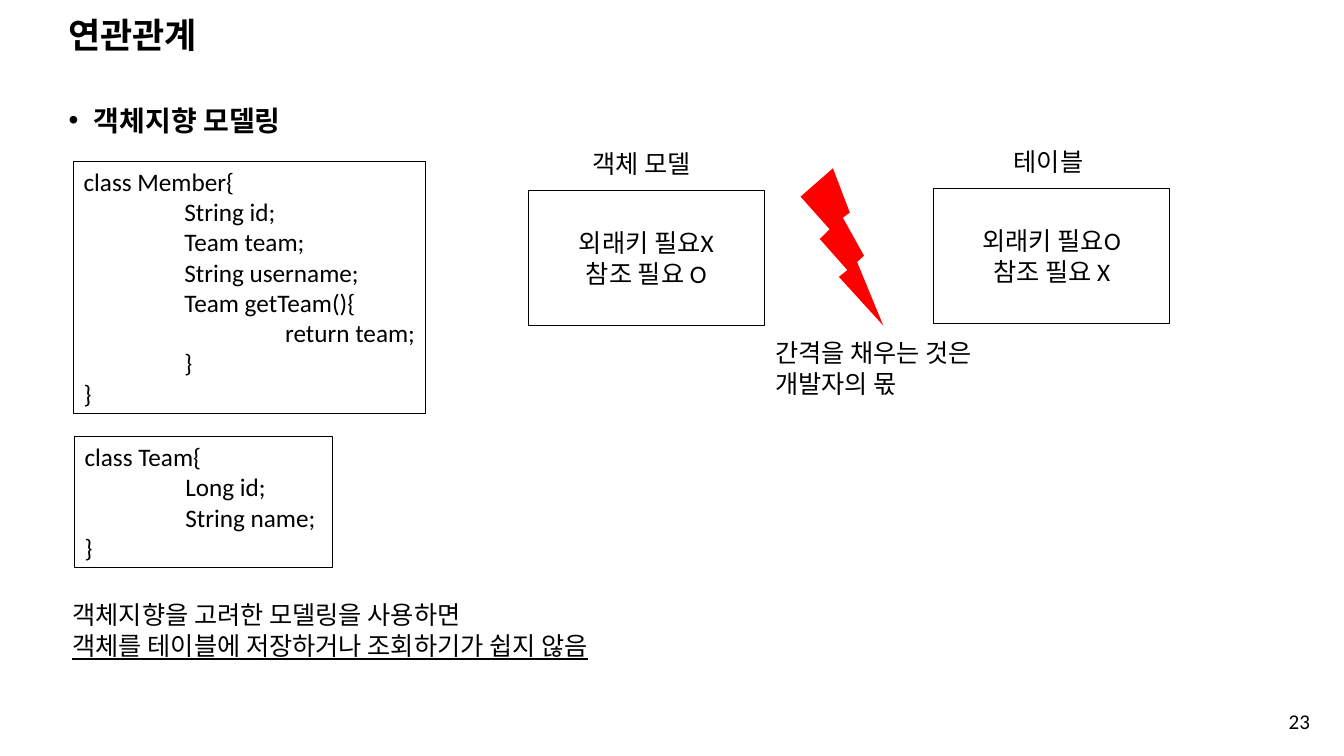
from lxml.etree import SubElement as Sub
from pptx import Presentation
from pptx.dml.color import RGBColor
from pptx.enum.shapes import MSO_SHAPE as Kind
from pptx.enum.text import MSO_ANCHOR as Anchor, MSO_AUTO_SIZE as Auto, PP_ALIGN as Align
from pptx.oxml.ns import qn
from pptx.util import Inches, Pt

BLACK = RGBColor(0, 0, 0)
WHITE = RGBColor(255, 255, 255)
RED = RGBColor(255, 0, 0)


def place(item, box):
    item.left, item.top, item.width, item.height = map(Inches, box)


def write(para, text, size=18, font="Calibri", bold=False, under=False):
    run = para.add_run()
    run.text = text
    run.font.size = Pt(size)
    run.font.name = font
    run.font.bold = bold
    run.font.underline = under
    run.font.color.rgb = BLACK


def fill_in(frame, lines, align=Align.LEFT, under=()):
    for num, text in enumerate(lines):
        para = frame.paragraphs[0] if num == 0 else frame.add_paragraph()
        para.alignment = align
        write(para, text, under=num in under)


def frame_shape(slide, box, width):
    shape = slide.shapes.add_shape(Kind.RECTANGLE, *map(Inches, box))
    shape.shadow.inherit = False
    shape.line.color.rgb = BLACK
    shape.line.width = Pt(width)
    return shape


def add_head(item, box, text, size):
    place(item, box)
    frame = item.text_frame
    frame.auto_size = Auto.NONE
    para = frame.paragraphs[0]
    para.alignment = Align.LEFT
    write(para, text, size, "Arial", True)
    return frame, para


def add_title(slide, box, text):
    frame, para = add_head(slide.shapes.title, box, text, 25)
    frame.vertical_anchor = Anchor.MIDDLE
    para.line_spacing = 0.9


def add_body(slide, box, text):
    frame, para = add_head(slide.placeholders[1], box, text, 20)
    frame.vertical_anchor = Anchor.TOP
    para.line_spacing = 1.4
    para.space_before = Pt(10)
    props = para._p.get_or_add_pPr()
    props.set("marL", str(Inches(0.25)))
    props.set("indent", str(-Inches(0.25)))
    Sub(props, qn("a:buFont")).set("typeface", "Arial")
    Sub(props, qn("a:buChar")).set("char", "•")


def add_code(slide, box, lines):
    shape = frame_shape(slide, box, 0.75)
    shape.fill.background()
    frame = shape.text_frame
    frame.word_wrap = False
    frame.auto_size = Auto.SHAPE_TO_FIT_TEXT
    frame.vertical_anchor = Anchor.TOP
    fill_in(frame, lines)
    for para in frame.paragraphs:
        tabs = Sub(para._p.get_or_add_pPr(), qn("a:tabLst"))
        for stop in (1, 2):
            tab = Sub(tabs, qn("a:tab"))
            tab.set("pos", str(Inches(stop)))
            tab.set("algn", "l")


def add_note(slide, box, lines, under=()):
    frame = slide.shapes.add_textbox(*map(Inches, box)).text_frame
    frame.word_wrap = False
    frame.auto_size = Auto.SHAPE_TO_FIT_TEXT
    fill_in(frame, lines, under=under)


def add_model(slide, box, name, wide, lines):
    left, top, width, height = box
    shape = frame_shape(slide, box, 1)
    shape.fill.solid()
    shape.fill.fore_color.rgb = WHITE
    shape.text_frame.vertical_anchor = Anchor.MIDDLE
    fill_in(shape.text_frame, lines, Align.CENTER)
    add_note(slide, (left + (width - wide) / 2, top - 0.47, wide, 0.4), [name])


def add_bolt(slide, box):
    bolt = slide.shapes.add_shape(Kind.LIGHTNING_BOLT, *map(Inches, box))
    bolt.shadow.inherit = False
    bolt.fill.solid()
    bolt.fill.fore_color.rgb = RED
    bolt.line.fill.background()


def add_page(slide, box, text):
    frame = slide.shapes.add_textbox(*map(Inches, box)).text_frame
    frame.word_wrap = True
    frame.vertical_anchor = Anchor.MIDDLE
    para = frame.paragraphs[0]
    para.alignment = Align.RIGHT
    write(para, text, 15)


def main():
    deck = Presentation()
    deck.slide_width, deck.slide_height = Inches(13.33), Inches(7.5)
    slide = deck.slides.add_slide(deck.slide_layouts[1])
    add_title(slide, (0.58, 0.18, 11.5, 0.38), "연관관계")
    add_body(slide, (0.58, 0.84, 12.39, 5.94), "객체지향 모델링")
    add_page(slide, (10.09, 6.95, 3, 0.4), "23")
    add_code(slide, (0.73, 1.6, 3.49, 2.5), [
        "class Member{", "\tString id;", "\tTeam team;", "\tString username;",
        "\tTeam getTeam(){", "\t\treturn team;", "\t}", "}"])
    add_code(slide, (0.74, 4.33, 2.56, 1.3), [
        "class Team{", "\tLong id;", "\tString name;", "}"])
    add_model(slide, (9.26, 1.87, 2.34, 1.34), "테이블", 0.95,
              ["외래키 필요O", "참조 필요 X"])
    add_model(slide, (5.24, 1.89, 2.34, 1.34), "객체 모델", 1.27,
              ["외래키 필요X", "참조 필요 O"])
    add_bolt(slide, (7.94, 1.67, 0.82, 1.56))
    add_note(slide, (7.59, 3.3, 2.38, 0.7), ["간격을 채우는 것은", "개발자의 몫"])
    add_note(slide, (0.62, 5.9, 5.79, 0.71), [
        "객체지향을 고려한 모델링을 사용하면",
        "객체를 테이블에 저장하거나 조회하기가 쉽지 않음"], under=(1,))
    deck.save("out.pptx")


if __name__ == "__main__":
    main()
